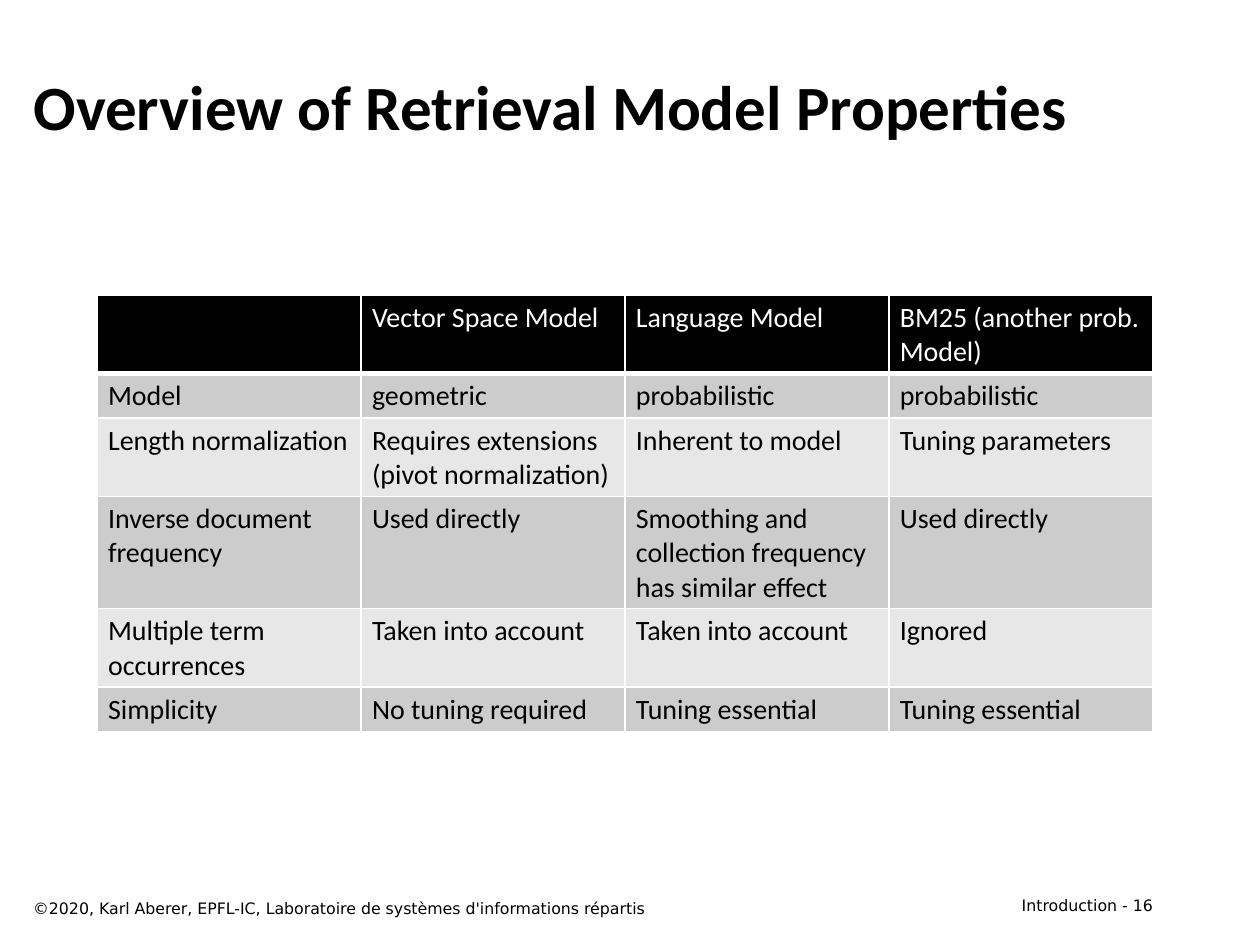
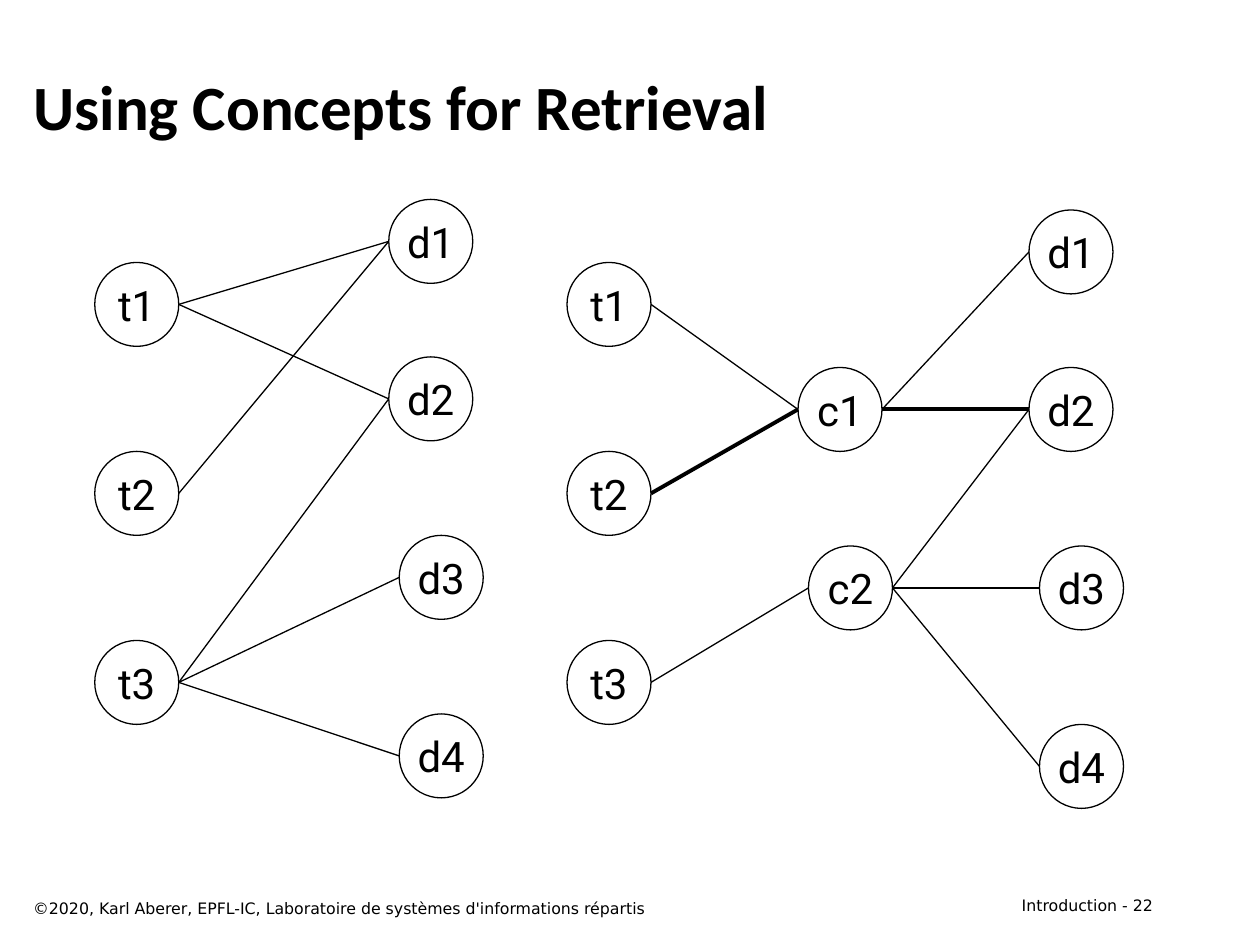
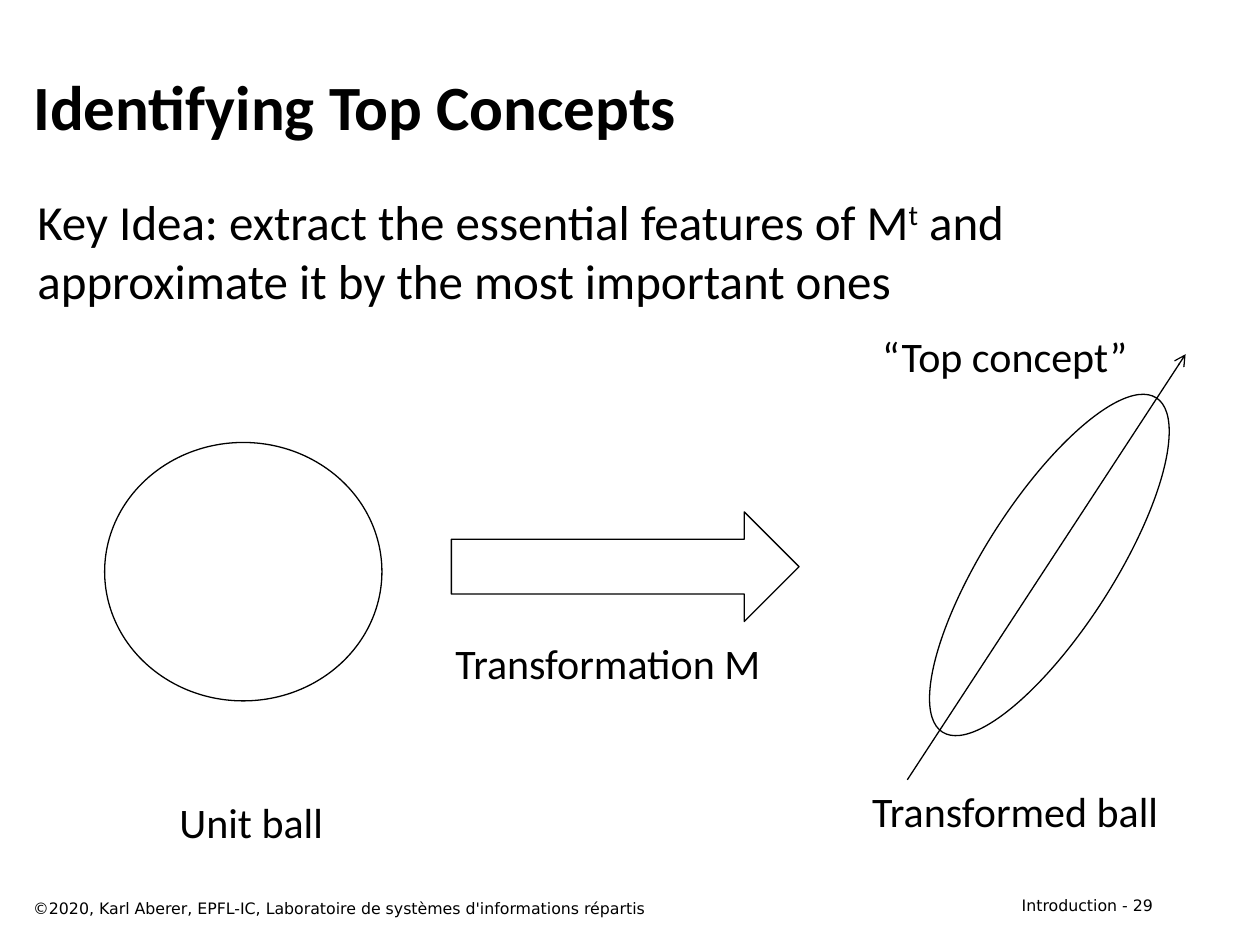
from collections import namedtuple

from lxml.etree import SubElement
from pptx import Presentation
from pptx.dml.color import RGBColor
from pptx.enum.shapes import MSO_CONNECTOR, MSO_SHAPE
from pptx.enum.text import MSO_ANCHOR, MSO_AUTO_SIZE, PP_ALIGN
from pptx.oxml.ns import qn
from pptx.util import Cm, Pt

Box = namedtuple("Box", "left top width height")

BLACK, WHITE = "000000", "FFFFFF"
BANDS = ("CCCCCC", "E7E7E7")
TEXT_FONT, FOOTER_FONT, NODE_FONT = "Calibri", "DejaVu Sans", "Roboto"

TITLE_BOX = Box(0.42, 0.85, 23.07, 2.54)
BODY_BOX = Box(0.5, 3.73, 23.07, 13.97)
COPYRIGHT_BOX = Box(0.42, 17.99, 16.3, 0.64)
NUMBER_BOX = Box(18.21, 17.93, 5.28, 0.64)
COPYRIGHT = "©2020, Karl Aberer, EPFL-IC, Laboratoire de systèmes d'informations répartis"

GRID = 25.4 / 120
NODE_SIZE = 8

MODEL_ROWS = [
    ("", "Vector Space Model", "Language Model", "BM25 (another prob. Model)"),
    ("Model", "geometric", "probabilistic", "probabilistic"),
    ("Length normalization", "Requires extensions (pivot normalization)",
     "Inherent to model", "Tuning parameters"),
    ("Inverse document frequency", "Used directly",
     "Smoothing and collection frequency has similar effect", "Used directly"),
    ("Multiple term occurrences", "Taken into account", "Taken into account", "Ignored"),
    ("Simplicity", "No tuning required", "Tuning essential", "Tuning essential"),
]
ROW_LINES = (2, 1, 2, 3, 2, 1)

TERMS = {"t1": (0, 6), "t2": (0, 24), "t3": (0, 42)}
DIRECT_NODES = TERMS | {"d1": (28, 0), "d2": (28, 15), "d3": (29, 32), "d4": (29, 49)}
DIRECT_LINKS = [("t1", "d1"), ("t2", "d1"), ("t1", "d2"),
                ("t3", "d4"), ("t3", "d3"), ("t3", "d2")]
CONCEPT_NODES = TERMS | {"d1": (44, 1), "d2": (44, 16), "d3": (45, 33), "d4": (45, 50),
                         "c1": (22, 16), "c2": (23, 33)}
CONCEPT_LINKS = [("t1", "c1"), ("t2", "c1"), ("t3", "c2"), ("c1", "d1"),
                 ("c1", "d2"), ("c2", "d2"), ("c2", "d3"), ("c2", "d4")]
STRONG_LINKS = [("t2", "c1"), ("c1", "d2")]


def colour(value):
    return RGBColor.from_string(value)


def lengths(box):
    return [Cm(value) for value in box]


def inside(outer, left, top, width, height):
    return Box(outer.left + left, outer.top + top, width, height)


def format_text(frame, size, font=TEXT_FONT, ink=BLACK, bold=False, align=PP_ALIGN.LEFT):
    for para in frame.paragraphs:
        para.alignment = align
        for span in para.runs:
            span.font.size = Pt(size)
            span.font.name = font
            span.font.bold = bold
            span.font.color.rgb = colour(ink)


def place(holder, box):
    holder.left, holder.top, holder.width, holder.height = lengths(box)
    holder.text_frame.auto_size = MSO_AUTO_SIZE.NONE


def add_label(page, box, text, size, font=TEXT_FONT, align=PP_ALIGN.CENTER, wrap=False):
    label = page.shapes.add_textbox(*lengths(box))
    label.text_frame.word_wrap = wrap
    label.text_frame.text = text
    format_text(label.text_frame, size, font, align=align)


def add_outline(page, kind, box, fill=None):
    shape = page.shapes.add_shape(kind, *lengths(box))
    shape.shadow.inherit = False
    if fill:
        shape.fill.solid()
        shape.fill.fore_color.rgb = colour(fill)
    else:
        shape.fill.background()
    shape.line.color.rgb = colour(BLACK)
    shape.line.width = Pt(0.75)
    return shape


def add_line(page, start, end, width=0.75, arrow=False):
    line = page.shapes.add_connector(MSO_CONNECTOR.STRAIGHT, *lengths(start + end))
    line.line.color.rgb = colour(BLACK)
    line.line.width = Pt(width)
    properties = line._element.spPr
    if arrow:
        SubElement(properties.find(qn("a:ln")), qn("a:tailEnd"), type="arrow")
    SubElement(properties, qn("a:effectLst"))


def add_page(deck, title, number, layout="Title Only"):
    page = deck.slides.add_slide(deck.slide_layouts.get_by_name(layout))
    heading = page.shapes.title
    place(heading, TITLE_BOX)
    heading.text_frame.text = title
    heading.text_frame.vertical_anchor = MSO_ANCHOR.MIDDLE
    format_text(heading.text_frame, 36, bold=True)
    add_label(page, COPYRIGHT_BOX, COPYRIGHT, 9, FOOTER_FONT, PP_ALIGN.LEFT, True)
    add_label(page, NUMBER_BOX, f"Introduction - {number}", 9, FOOTER_FONT,
              PP_ALIGN.RIGHT, True)
    return page


def add_border(cell, side, width):
    line = SubElement(cell._tc.get_or_add_tcPr(), qn(f"a:ln{side}"), w=str(Pt(width)))
    fill = SubElement(line, qn("a:solidFill"))
    SubElement(fill, qn("a:srgbClr"), val=WHITE)


def add_model_table(page, box):
    table = page.shapes.add_table(len(MODEL_ROWS), len(MODEL_ROWS[0]), *lengths(box)).table
    for row, lines in zip(table.rows, ROW_LINES):
        row.height = Cm(0.22 + 0.68 * lines)
    for row_index, texts in enumerate(MODEL_ROWS):
        header = row_index == 0
        for column, text in enumerate(texts):
            cell = table.cell(row_index, column)
            for side in "LRTB":
                add_border(cell, side, 3 if header and side == "B" else 1)
            cell.fill.solid()
            cell.fill.fore_color.rgb = colour(BLACK if header else BANDS[(row_index - 1) % 2])
            cell.margin_left = cell.margin_right = Cm(0.22)
            cell.margin_top = cell.margin_bottom = Cm(0.11)
            cell.text_frame.text = text
            format_text(cell.text_frame, 16, ink=WHITE if header else BLACK)


def add_graph(page, box, nodes, links, strong=()):
    def point(name, across):
        column, row = nodes[name]
        return (box.left + GRID * (column + across), box.top + GRID * (row + NODE_SIZE / 2))

    side = GRID * NODE_SIZE
    for name, (column, row) in nodes.items():
        node_box = inside(box, GRID * column, GRID * row, side, side)
        node = add_outline(page, MSO_SHAPE.OVAL, node_box)
        frame = node.text_frame
        frame.text = name
        frame.word_wrap = False
        frame.vertical_anchor = MSO_ANCHOR.MIDDLE
        format_text(frame, 24, NODE_FONT, align=PP_ALIGN.CENTER)
    for link in links:
        start, end = link
        add_line(page, point(start, NODE_SIZE), point(end, 0), 2.25 if link in strong else 0.75)


def add_key_idea(page, box):
    body = page.placeholders[1]
    place(body, box)
    para = body.text_frame.paragraphs[0]
    for text in ("Key Idea: extract the essential features of M", "t",
                 " and approximate it by the most important ones"):
        para.add_run().text = text
    format_text(body.text_frame, 28)
    para.runs[1].font._element.set("baseline", "30000")
    para.space_before = Pt(5.6)
    properties = para._p.get_or_add_pPr()
    properties.set("marL", "0")
    properties.set("indent", "0")
    SubElement(properties, qn("a:buNone"))


def add_transformation(page, box):
    add_outline(page, MSO_SHAPE.OVAL, inside(box, 0, 2.39, 5.59, 5.21), WHITE)
    add_outline(page, MSO_SHAPE.RIGHT_ARROW, inside(box, 6.99, 3.79, 7.01, 2.21), WHITE)
    ball = add_outline(page, MSO_SHAPE.OVAL, inside(box, 17.75, 0.86, 2.59, 8), WHITE)
    ball.rotation = 32.6
    add_line(page, (box.left + 16.18, box.top + 9.19), (box.left + 21.79, box.top + 0.61),
             arrow=True)
    for text, left, top, width in (
        ("Unit ball", 1.24, 9.4, 3.43),
        ("Transformation M", 6.73, 6.2, 6.83),
        ("Transformed ball", 15.14, 9.19, 6.43),
        ("“Top concept”", 15.39, 0, 5.51),
    ):
        add_label(page, inside(box, left, top, width, 1.27), text, 24)


def main():
    deck = Presentation()
    deck.slide_width, deck.slide_height = Cm(25.4), Cm(19.05)

    page = add_page(deck, "Overview of Retrieval Model Properties", 16)
    add_model_table(page, Box(1.96, 5.95, 21.28, 8.78))

    page = add_page(deck, "Using Concepts for Retrieval", 22)
    add_graph(page, Box(1.91, 4.02, 7.83, 12.07), DIRECT_NODES, DIRECT_LINKS)
    add_graph(page, Box(11.43, 4.02, 11.22, 12.28), CONCEPT_NODES, CONCEPT_LINKS, STRONG_LINKS)

    page = add_page(deck, "Identifying Top Concepts", 29, "Title and Content")
    add_key_idea(page, BODY_BOX)
    add_transformation(page, Box(2.11, 6.53, 21.79, 10.67))

    deck.save("out.pptx")


if __name__ == "__main__":
    main()
